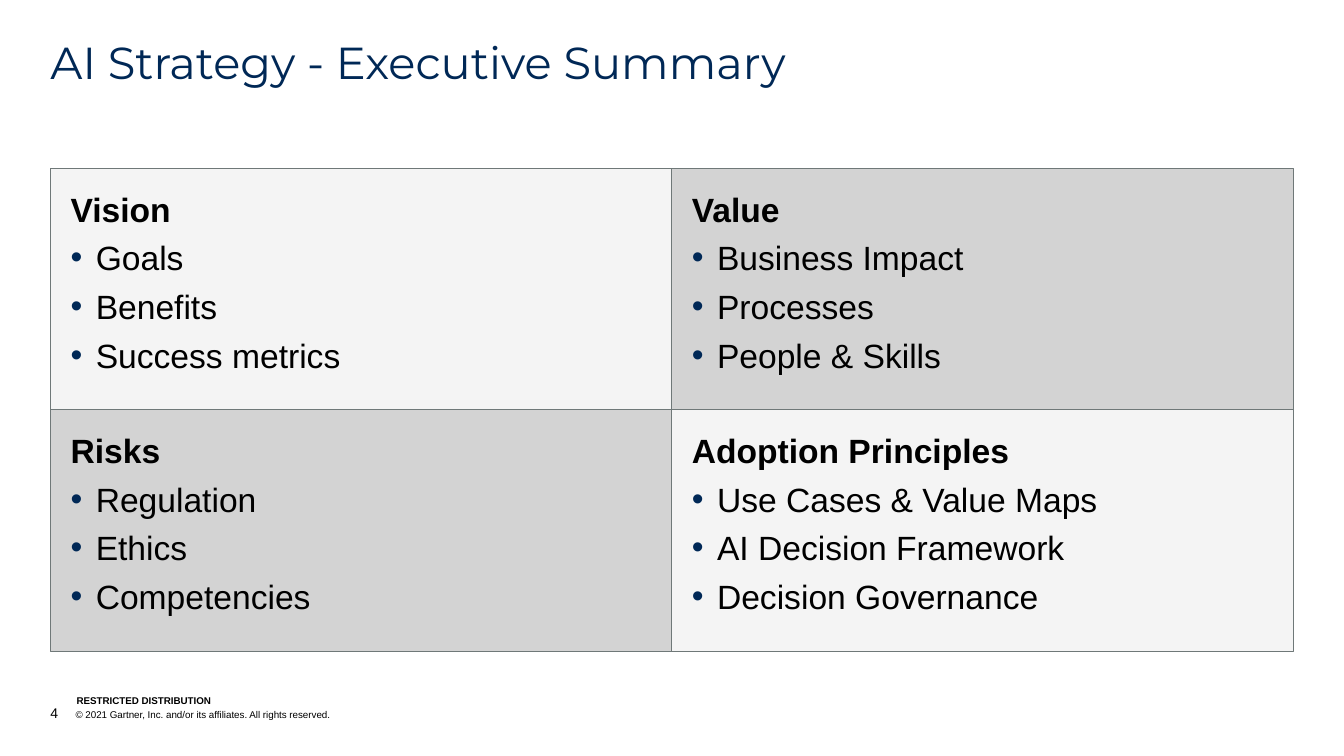
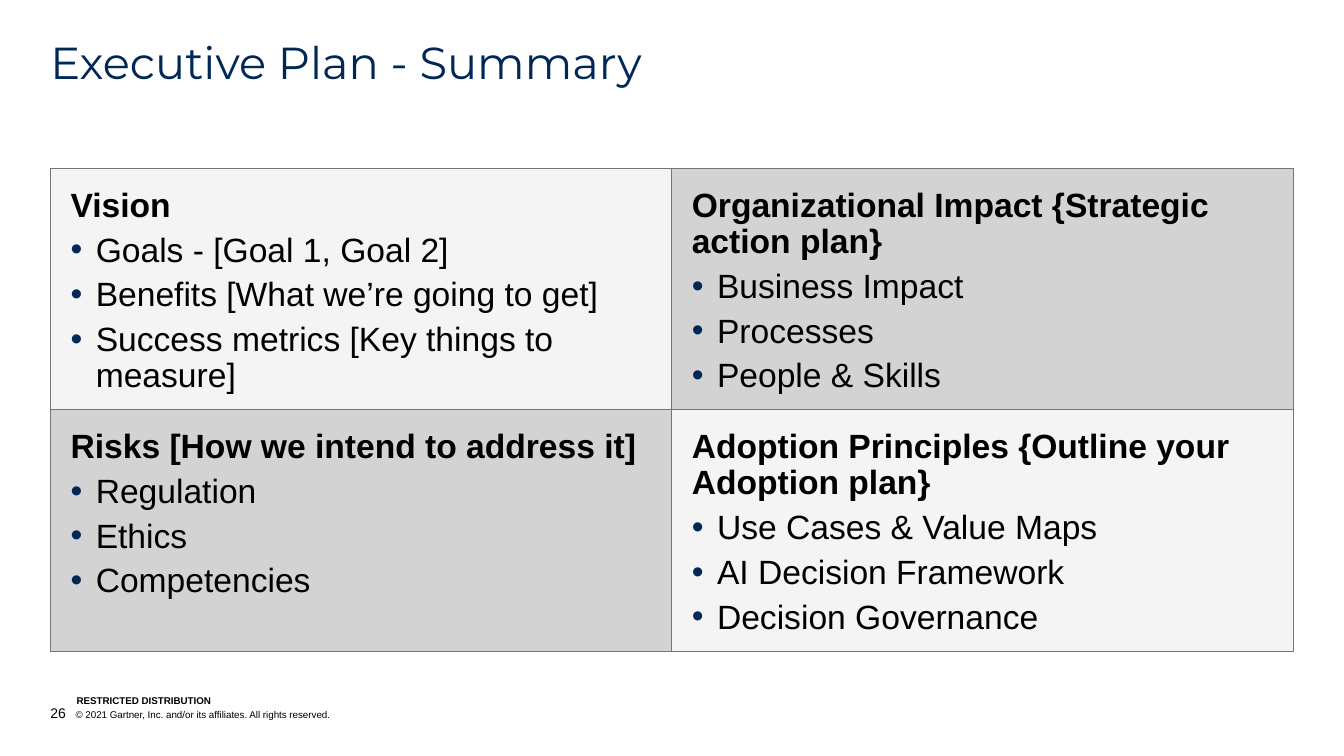
"""Builds two executive summary slides, each a two-by-two grid of panels."""
import lxml.etree
import pptx
import pptx.dml.color
import pptx.enum.text
import pptx.oxml.ns
import pptx.util

Pt = pptx.util.Pt
qn = pptx.oxml.ns.qn

SUMMARIES = [
    ("AI Strategy - Executive Summary", 4, 1.0, [
        ("Vision", ["Goals", "Benefits", "Success metrics"]),
        ("Value", ["Business Impact", "Processes", "People & Skills"]),
        ("Risks", ["Regulation", "Ethics", "Competencies"]),
        ("Adoption Principles",
         ["Use Cases & Value Maps", "AI Decision Framework", "Decision Governance"]),
    ]),
    ("Executive Plan - Summary", 26, 0.9, [
        ("Vision",
         ["Goals - [Goal 1, Goal 2]", "Benefits [What we’re going to get]",
          "Success metrics [Key things to measure]"]),
        ("Organizational Impact {Strategic action plan}",
         ["Business Impact", "Processes", "People & Skills"]),
        ("Risks [How we intend to address it]",
         ["Regulation", "Ethics", "Competencies"]),
        ("Adoption Principles {Outline your Adoption plan}",
         ["Use Cases & Value Maps", "AI Decision Framework", "Decision Governance"]),
    ]),
]


class Deck:
    COLORS = {"navy": "002856", "black": "000000", "border": "6F7878",
              "light": "F4F4F4", "dark": "D3D3D3"}
    TITLE_FONT = "Montserrat"
    BODY_FONT = "Arial"
    LEFT = 36
    GRID_TOP = 120.25
    COLUMN_STEP, ROW_STEP = 443.75, 172.25
    PANEL_WIDTH, PANEL_HEIGHT = 444, 172.75
    INDENT = 18

    def __init__(self):
        self.presentation = pptx.Presentation()
        self.presentation.slide_width = Pt(960)
        self.presentation.slide_height = Pt(540)
        self.slide = None

    def color(self, key):
        return pptx.dml.color.RGBColor.from_string(self.COLORS[key])

    def place(self, shape, left, top, width, height):
        shape.left, shape.top = Pt(left), Pt(top)
        shape.width, shape.height = Pt(width), Pt(height)

    def frame(self, shape, anchor="TOP", near=0, far=0):
        frame = shape.text_frame
        frame.word_wrap = True
        frame.auto_size = pptx.enum.text.MSO_AUTO_SIZE.NONE
        frame.vertical_anchor = getattr(pptx.enum.text.MSO_ANCHOR, anchor)
        frame.margin_left = frame.margin_top = Pt(near)
        frame.margin_right = frame.margin_bottom = Pt(far)
        return frame

    def style(self, paragraph, size, color="black", face=BODY_FONT, bold=False):
        paragraph.alignment = pptx.enum.text.PP_ALIGN.LEFT
        font = paragraph.font
        font.name, font.size, font.bold = face, Pt(size), bold
        font.color.rgb = self.color(color)

    def hang(self, paragraph, indent):
        properties = paragraph._p.get_or_add_pPr()
        properties.set("marL", str(Pt(indent)))
        properties.set("indent", str(-Pt(indent)))
        return properties

    def bullet(self, paragraph, shown):
        properties = self.hang(paragraph, self.INDENT if shown else 0)
        if not shown:
            lxml.etree.SubElement(properties, qn("a:buNone"))
            return
        tint = lxml.etree.SubElement(properties, qn("a:buClr"))
        lxml.etree.SubElement(tint, qn("a:srgbClr"), val=self.COLORS["navy"])
        lxml.etree.SubElement(properties, qn("a:buFont"), typeface=self.BODY_FONT)
        lxml.etree.SubElement(properties, qn("a:buChar"), char="•")

    def add_slide(self):
        layout = self.presentation.slide_layouts.get_by_name("Comparison")
        self.slide = self.presentation.slides.add_slide(layout)

    def title(self, wording):
        heading = self.slide.shapes.title
        self.place(heading, self.LEFT, 29, 888, 35)
        paragraph = self.frame(heading).paragraphs[0]
        paragraph.text = wording
        paragraph.line_spacing = 0.9
        self.style(paragraph, 32, "navy", self.TITLE_FONT)

    def panel(self, position, heading, points, line_spacing):
        row, column = divmod(position, 2)
        panel = self.slide.placeholders[position + 1]
        self.place(panel, self.LEFT + column * self.COLUMN_STEP,
                   self.GRID_TOP + row * self.ROW_STEP,
                   self.PANEL_WIDTH, self.PANEL_HEIGHT)
        panel.fill.solid()
        panel.fill.fore_color.rgb = self.color("light" if row == column else "dark")
        panel.line.color.rgb = self.color("border")
        panel.line.width = Pt(1)
        frame = self.frame(panel, near=14.4, far=7.2)
        frame.text = "\n".join([heading, *points])
        for order, paragraph in enumerate(frame.paragraphs):
            paragraph.line_spacing = line_spacing
            paragraph.space_before = Pt(0)
            paragraph.space_after = Pt(6)
            self.bullet(paragraph, shown=order > 0)
            self.style(paragraph, 24, bold=order == 0)

    def footer_line(self, left, top, width, height):
        box = self.slide.shapes.add_textbox(Pt(left), Pt(top), Pt(width), Pt(height))
        return self.frame(box, "BOTTOM").paragraphs[0]

    def footer(self, page):
        distribution = self.footer_line(54.8, 496, 182, 8.6)
        distribution.text = "RESTRICTED DISTRIBUTION"
        self.style(distribution, 7, bold=True)
        rights = self.footer_line(self.LEFT, 503.3, 575, 12.2)
        self.hang(rights, self.INDENT)
        self.style(rights, 7)
        number = rights.add_run()
        number.text = str(page)
        number.font.size = Pt(10)
        notice = rights.add_run()
        notice.text = "\t© 2021 Gartner, Inc. and/or its affiliates. All rights reserved."
        notice.font.size = Pt(7)


def main():
    deck = Deck()
    for title, page, line_spacing, panels in SUMMARIES:
        deck.add_slide()
        deck.title(title)
        for position, (heading, points) in enumerate(panels):
            deck.panel(position, heading, points, line_spacing)
        deck.footer(page)
    deck.presentation.save("out.pptx")


if __name__ == "__main__":
    main()
